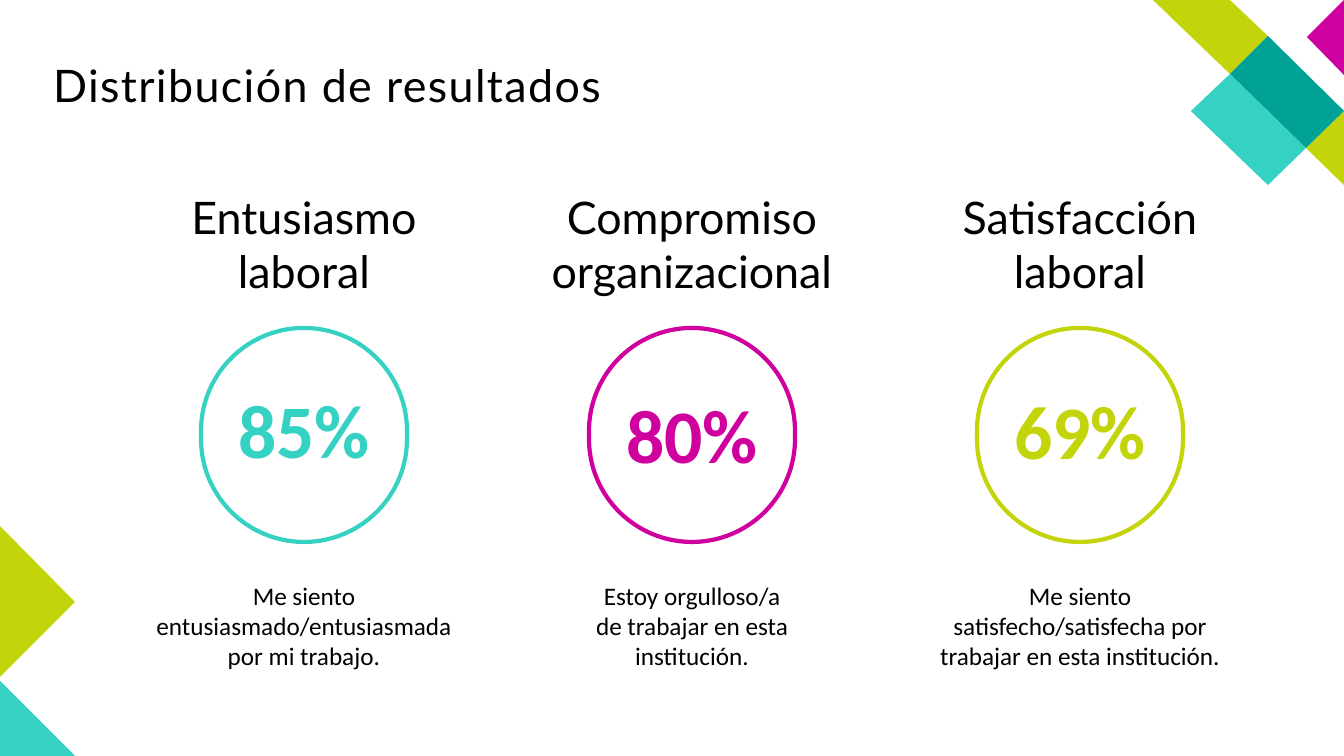
from pptx import Presentation
from pptx import util as u
from pptx.dml.color import RGBColor
from pptx.enum import shapes, text

PX = 914400 / 100.8
TURQUOISE, MAGENTA, LIME, TEAL = "35D2C4", "CE009F", "C4D40A", "00A296"


def px(*lengths):
    """Turn pixel lengths into EMU."""
    return [round(length * PX) for length in lengths]


def add_text(frame, lines, font, size, color="000000", align=text.PP_ALIGN.CENTER):
    box = slide.shapes.add_textbox(*px(*frame))
    box.text_frame.word_wrap = True
    box.text_frame.text = "\n".join(lines)
    for para in box.text_frame.paragraphs:
        para.alignment = align
        para.font.name = font
        para.font.size = u.Pt(size)
        para.font.color.rgb = RGBColor.from_string(color)
    return box.text_frame


deck = Presentation()
deck.slide_width, deck.slide_height = px(1344, 756)
slide = deck.slides.add_slide(deck.slide_layouts[6])

# Corner decoration
polygons = [
    (LIME, [(1268, 36), (1230, 0), (1153, 0), (1230, 74)]),
    (LIME, [(1344, 111), (1306, 148), (1344, 185)]),
    (TURQUOISE, [(1230, 74), (1191, 111), (1268, 185), (1306, 148)]),
    (MAGENTA, [(1344, 75), (1344, 0), (1307, 37)]),
    (TEAL, [(1268, 36), (1230, 74), (1306, 148), (1344, 111)]),
    (TURQUOISE, [(0, 681), (0, 756), (75, 756)]),
    (LIME, [(0, 526), (75, 602), (0, 677)]),
]
for color, points in polygons:
    outline = slide.shapes.build_freeform(*points[0], scale=PX)
    outline.add_line_segments(points[1:], close=True)
    polygon = outline.convert_to_shape()
    polygon.shadow.inherit = False
    polygon.fill.solid()
    polygon.fill.fore_color.rgb = RGBColor.from_string(color)
    polygon.line.fill.background()

# Title
title = add_text((53, 48, 1147, 79), ["Distribución de resultados"], "Lato", 32,
                 align=text.PP_ALIGN.LEFT)
title.margin_left = title.margin_right = title.margin_top = title.margin_bottom = 0
title.vertical_anchor = text.MSO_ANCHOR.MIDDLE
title.paragraphs[0].line_spacing = 0.9
title.paragraphs[0].runs[0]._r.get_or_add_rPr().set("spc", "100")

# Result columns: heading, heading width, value, value top, colour, note, note width
results = [
    (["Entusiasmo", "laboral"], 338, "85%", 384, TURQUOISE,
     ["Me siento entusiasmado/entusiasmada por mi trabajo."], 324),
    (["Compromiso organizacional"], 367, "80%", 389, "D0009E",
     ["Estoy orgulloso/a", "de trabajar en esta institución."], 243),
    (["Satisfacción laboral"], 367, "69%", 385, LIME,
     ["Me siento satisfecho/satisfecha por trabajar en esta institución."], 303),
]
for column, (heading, heading_width, value, value_top, color, note, note_width) in enumerate(results):
    center = 304 + 388 * column
    add_text((center - heading_width / 2, 185, heading_width, 119), heading, "Lato", 32)
    add_text((center - note_width / 2, 575, note_width, 102), note, "Calibri", 18)

    figure = add_text((center - 100, value_top, 200, 101), [value], "Calibri", 54, color)
    figure.vertical_anchor = text.MSO_ANCHOR.MIDDLE
    figure.paragraphs[0].line_spacing = 0.9
    figure.paragraphs[0].font.bold = True

    ring = slide.shapes.add_shape(shapes.MSO_SHAPE.ROUNDED_RECTANGLE,
                                  *px(center - 103, 328, 206, 214))
    ring.adjustments[0] = 0.5
    ring.shadow.inherit = False
    ring.fill.background()
    ring.line.color.rgb = RGBColor.from_string(color)
    ring.line.width = u.Pt(3)

deck.save("out.pptx")
